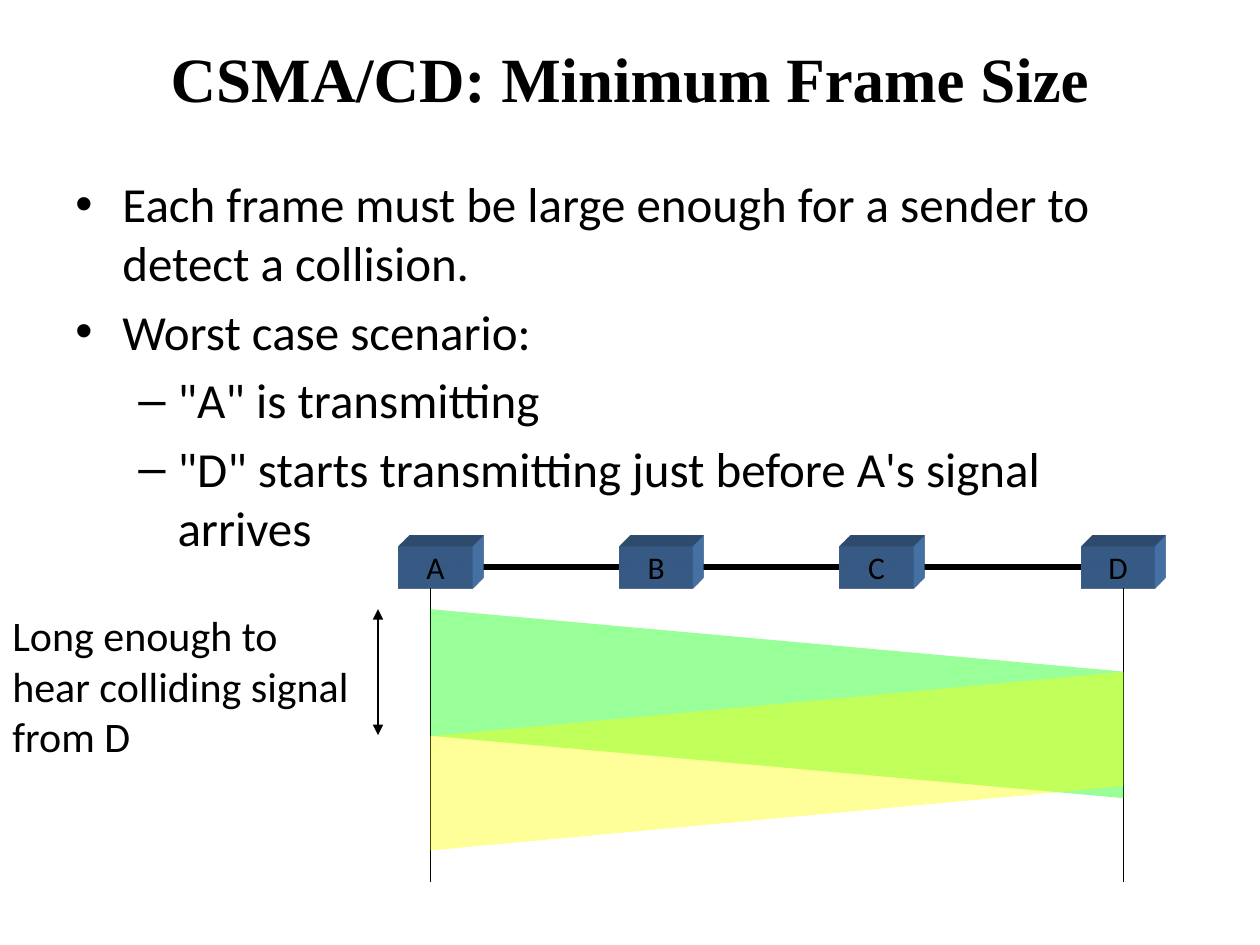
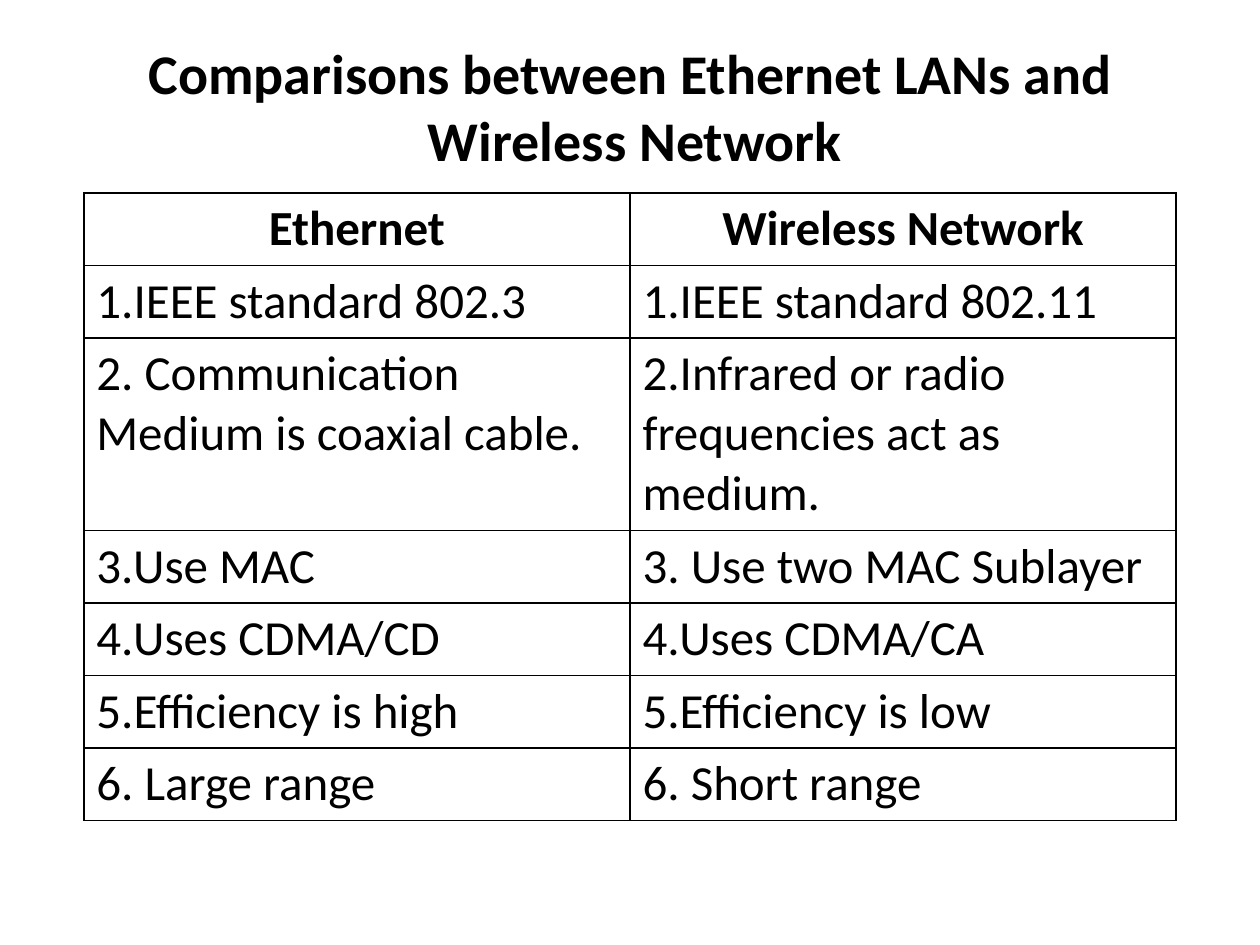
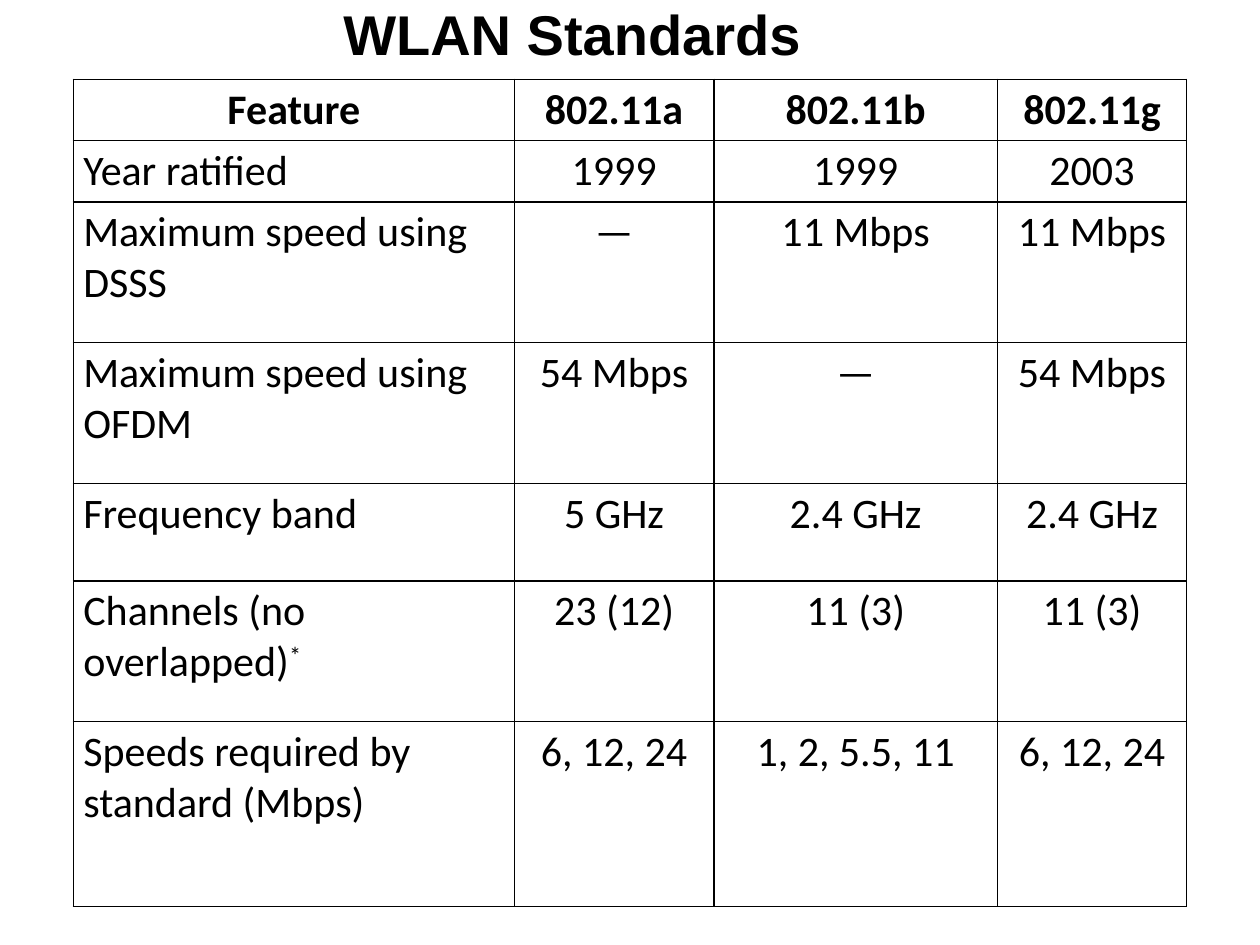
import lxml.etree
import pptx
import pptx.dml.color
import pptx.enum.shapes
import pptx.enum.text
import pptx.oxml
import pptx.oxml.ns
import pptx.util

Cm = pptx.util.Cm
Pt = pptx.util.Pt
qn = pptx.oxml.ns.qn
ALIGN = pptx.enum.text.PP_ALIGN
ANCHOR = pptx.enum.text.MSO_ANCHOR
AUTO_SIZE = pptx.enum.text.MSO_AUTO_SIZE
SHAPE = pptx.enum.shapes.MSO_SHAPE

COLORS = {
    "ink": "000000",
    "station": "4F81BD",
    "signal_a": "00FF00",
    "signal_d": "FFFF00",
}
BODY_FONT = "Calibri"
TITLE_ONLY = 5
SIGNAL_ALPHA = 40000

BULLETS = {0: ("•", 0.95, 0.95), 1: ("–", 2.06, 0.79)}

FRAME_POINTS = [
    (0, "Each frame must be large enough for a sender to detect a collision."),
    (0, "Worst case scenario:"),
    (1, '"A" is transmitting'),
    (1, '"D" starts transmitting just before A\'s signal arrives'),
]
STATIONS = {"A": 8.04, "B": 12.49, "C": 16.93, "D": 21.8}
A_TIMELINE, D_TIMELINE = 8.68, 22.65

NETWORK_ROWS = [
    ("Ethernet", "Wireless Network"),
    ("1.IEEE standard 802.3", "1.IEEE standard 802.11"),
    ("2. Communication Medium is coaxial cable.",
     "2.Infrared or radio frequencies act as medium."),
    ("3.Use MAC", "3. Use two MAC Sublayer"),
    ("4.Uses CDMA/CD", "4.Uses CDMA/CA"),
    ("5.Efficiency is high", "5.Efficiency is low"),
    ("6. Large range", "6. Short range"),
]
WLAN_ROWS = [
    ("Feature", "802.11a", "802.11b", "802.11g"),
    ("Year ratified", "1999", "1999", "2003"),
    ("Maximum speed using DSSS", "—", "11 Mbps", "11 Mbps"),
    ("Maximum speed using OFDM", "54 Mbps", "—", "54 Mbps"),
    ("Frequency band", "5 GHz", "2.4 GHz", "2.4 GHz"),
    ("Channels (no overlapped)*", "23 (12)", "11 (3)", "11 (3)"),
    ("Speeds required by standard (Mbps)", "6, 12, 24", "1, 2, 5.5, 11", "6, 12, 24"),
]

EXTRUSION = (
    '<a:scene3d {ns}><a:camera prst="legacyObliqueTopRight"/>'
    '<a:lightRig rig="legacyFlat3" dir="b"/></a:scene3d>',
    '<a:sp3d {ns} extrusionH="227000" prstMaterial="legacyMatte">'
    '<a:bevelT w="13500" h="13500" prst="angle"/><a:bevelB w="13500" h="13500" prst="angle"/>'
    '<a:extrusionClr><a:srgbClr val="{color}"/></a:extrusionClr></a:sp3d>',
)


def rgb(name):
    return pptx.dml.color.RGBColor.from_string(COLORS[name])


def apply(target, **values):
    for name, value in values.items():
        setattr(target, name, value)


def style(text, size, name=BODY_FONT, bold=False):
    apply(text.font, size=Pt(size), name=name, bold=bold)
    text.font.color.rgb = rgb("ink")


def box(*lengths):
    return [Cm(length) for length in lengths]


def add_slide(deck, lines, place, size, aligns, name=BODY_FONT, **frame_format):
    slide = deck.slides.add_slide(deck.slide_layouts[TITLE_ONLY])
    title = slide.shapes.title
    apply(title, **dict(zip(("left", "top", "width", "height"), box(*place))))
    frame = title.text_frame
    frame.text = "\n".join(lines)
    apply(frame, word_wrap=True, auto_size=AUTO_SIZE.NONE, **frame_format)
    for paragraph, align in zip(frame.paragraphs, aligns):
        paragraph.alignment = align
        style(paragraph, size, name, True)
    return slide


def add_bullets(slide, points, place, size):
    frame = slide.shapes.add_textbox(*box(*place)).text_frame
    frame.word_wrap = True
    frame.text = "\n".join(text for _, text in points)
    for index, (paragraph, (level, _)) in enumerate(zip(frame.paragraphs, points)):
        mark, margin, hanging = BULLETS[level]
        paragraph.level = level
        paragraph.space_before = Pt(size * 0.2 if index else 0)
        properties = paragraph._p.get_or_add_pPr()
        properties.set("marL", str(Cm(margin)))
        properties.set("indent", str(-Cm(hanging)))
        lxml.etree.SubElement(properties, qn("a:buFont")).set("typeface", "Arial")
        lxml.etree.SubElement(properties, qn("a:buChar")).set("char", mark)
        style(paragraph, size)


def add_line(shapes, start, end, width, arrows=False):
    connector = shapes.add_connector(
        pptx.enum.shapes.MSO_CONNECTOR.STRAIGHT, *box(*start, *end))
    connector.line.color.rgb = rgb("ink")
    connector.line.width = Pt(width)
    properties = connector._element.spPr
    if arrows:
        for end_name in ("a:headEnd", "a:tailEnd"):
            lxml.etree.SubElement(properties.find(qn("a:ln")), qn(end_name)).set("type", "triangle")
    lxml.etree.SubElement(properties, qn("a:effectLst"))


def add_filled(shapes, kind, place, color):
    shape = shapes.add_shape(kind, *box(*place))
    shape.shadow.inherit = False
    shape.fill.solid()
    shape.fill.fore_color.rgb = rgb(color)
    shape.line.fill.background()
    return shape


def add_station(shapes, label, left):
    station = add_filled(shapes, SHAPE.RECTANGLE, (left, 11.01, 1.48, 0.85), "station")
    for part in EXTRUSION:
        station._element.spPr.append(pptx.oxml.parse_xml(
            part.format(ns=pptx.oxml.ns.nsdecls("a"), color=COLORS["station"])))
    frame = station.text_frame
    frame.text = label
    apply(frame, word_wrap=False, vertical_anchor=ANCHOR.MIDDLE)
    frame.paragraphs[0].alignment = ALIGN.CENTER
    style(frame.paragraphs[0], 18)


def add_signal(shapes, place, color, rotation, slant, flipped=False):
    signal = add_filled(shapes, SHAPE.PARALLELOGRAM, place, color)
    signal.rotation = rotation
    signal.adjustments[0] = slant
    properties = signal._element.spPr
    if flipped:
        properties.find(qn("a:xfrm")).set("flipV", "1")
    fill_color = properties.find(qn("a:solidFill")).find(qn("a:srgbClr"))
    lxml.etree.SubElement(fill_color, qn("a:alpha")).set("val", str(SIGNAL_ALPHA))


def add_caption(shapes, text, place, size):
    frame = shapes.add_textbox(*box(*place)).text_frame
    apply(frame, word_wrap=False, auto_size=AUTO_SIZE.SHAPE_TO_FIT_TEXT)
    frame.paragraphs[0].text = text
    style(frame.paragraphs[0], size)


def add_borders(cell):
    properties = cell._tc.get_or_add_tcPr()
    for side in ("a:lnL", "a:lnR", "a:lnT", "a:lnB"):
        border = lxml.etree.SubElement(properties, qn(side))
        border.set("w", str(Pt(1)))
        fill = lxml.etree.SubElement(border, qn("a:solidFill"))
        lxml.etree.SubElement(fill, qn("a:srgbClr")).set("val", COLORS["ink"])


def fill_cell(cell, text, size, bold, align):
    add_borders(cell)
    cell.fill.background()
    paragraph = cell.text_frame.paragraphs[0]
    paragraph.alignment = align
    label, star, _ = text.partition("*")
    for part in filter(None, (label, star)):
        run = paragraph.add_run()
        run.text = part
        style(run, size, bold=bold)
        if part == "*":
            run._r.get_or_add_rPr().set("baseline", "30000")


def add_grid(slide, rows, corner, widths, heights, size, value_align, **margins):
    table = slide.shapes.add_table(
        len(rows), len(widths), *box(*corner, sum(widths), sum(heights))).table
    apply(table, first_row=False, horz_banding=False)
    for column, width in zip(table.columns, widths):
        column.width = Cm(width)
    for r, (texts, height) in enumerate(zip(rows, heights)):
        table.rows[r].height = Cm(height)
        for c, text in enumerate(texts):
            cell = table.cell(r, c)
            apply(cell, **margins)
            align = ALIGN.CENTER if r == 0 else value_align if c else ALIGN.LEFT
            fill_cell(cell, text, size, r == 0, align)


def build_frame_size(deck):
    slide = add_slide(deck, ["CSMA/CD: Minimum Frame Size"], (1.27, 0.43, 22.86, 2.74), 36,
                      [ALIGN.CENTER], "Times New Roman",
                      vertical_anchor=ANCHOR.TOP, margin_top=Cm(0.36))
    add_bullets(slide, FRAME_POINTS, (1.27, 3.38, 22.86, 13.77), 28)

    bus = slide.shapes.add_group_shape().shapes
    add_line(bus, (8.89, 11.43), (D_TIMELINE, 11.43), 3)
    for label, left in STATIONS.items():
        add_station(bus, label, left)

    for x in (A_TIMELINE, D_TIMELINE):
        add_line(slide.shapes, (x, 11.85), (x, 17.78), 0.75)
    add_signal(slide.shapes, (13.76, 7.2, 3.81, 13.97), "signal_a", 270, 0.33)
    add_signal(slide.shapes, (13.86, 8.36, 3.6, 13.97), "signal_d", 90, 0.36, True)

    duration = slide.shapes.add_group_shape().shapes
    add_line(duration, (7.62, 12.28), (7.62, 14.82), 0.75, True)
    add_caption(duration, "Long enough to\nhear colliding signal\nfrom D",
                (0, 12.17, 7.37, 3.33), 24)


def build_comparison(deck):
    slide = add_slide(deck, ["Comparisons between Ethernet LANs and", "Wireless Network"],
                      (2.74, 0.64, 20.12, 3), 32, [ALIGN.LEFT, ALIGN.CENTER],
                      vertical_anchor=ANCHOR.TOP)
    add_grid(slide, NETWORK_ROWS, (1.69, 3.89), [11.01] * 2, [1.04] * len(NETWORK_ROWS),
             28, ALIGN.LEFT)


def build_standards(deck):
    slide = add_slide(deck, ["WLAN Standards"], (6.35, -0.15, 14.6, 1.63), 32, [ALIGN.LEFT],
                      "Arial", vertical_anchor=ANCHOR.MIDDLE, margin_left=Cm(0.57))
    add_grid(slide, WLAN_ROWS, (1.48, 1.6), [8.89, 4.02, 5.72, 3.81],
             [1.09, 1.09, 2.84, 2.84, 1.96, 2.84, 3.73], 24, ALIGN.CENTER,
             margin_left=Cm(0.2), margin_right=Cm(0.2),
             margin_top=Cm(0.1), margin_bottom=Cm(0.1))


def main():
    deck = pptx.Presentation()
    apply(deck, slide_width=Cm(25.4), slide_height=Cm(19.05))
    build_frame_size(deck)
    build_comparison(deck)
    build_standards(deck)
    deck.save("out.pptx")


if __name__ == "__main__":
    main()
